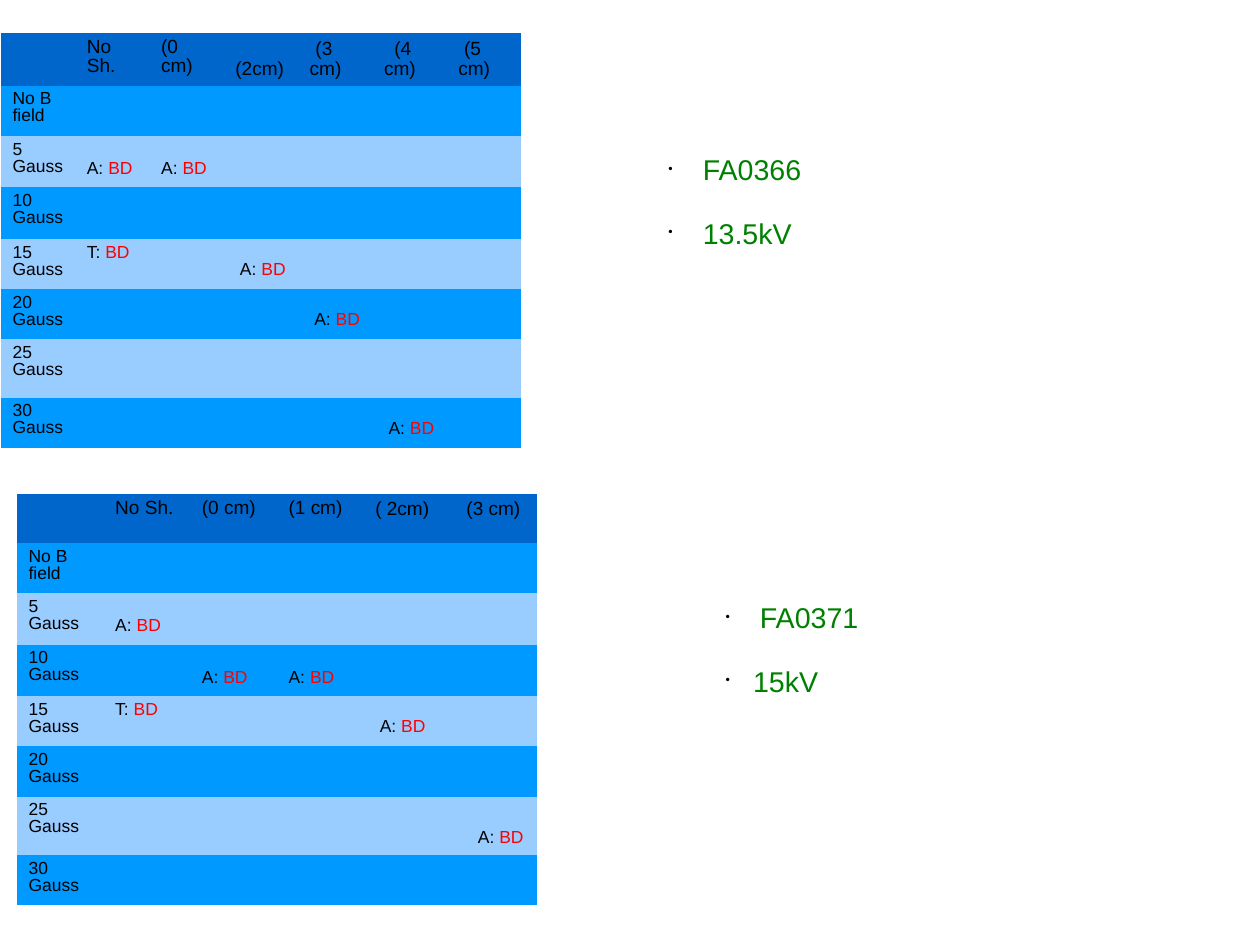
from dataclasses import dataclass

from lxml import etree
from pptx import Presentation
from pptx import util as u
from pptx.dml.color import RGBColor
from pptx.enum import text
from pptx.oxml.ns import qn


@dataclass(frozen=True)
class Theme:
    font: str = "Arial"
    ink: str = "000000"
    breakdown: str = "FF0000"
    note: str = "008000"
    header: str = "0066CC"
    band_dark: str = "0099FF"
    band_light: str = "99CCFF"
    header_size: int = 12
    cell_size: int = 11
    note_size: int = 18
    tight: float = 0.87
    loose: float = 0.93


THEME = Theme()
CM_PER_INCH = 2.54
NO_GRID_STYLE = "{2D5ABB26-0587-4C30-8999-92F81FD0307C}"
FIELDS = ["No B field"] + [f"{gauss} Gauss" for gauss in range(5, 31, 5)]
FIELD_HEIGHTS = [0.44, 0.45, 0.45, 0.44, 0.44, 0.51, 0.44]
TABLE_WIDTH = 4.55
PAD = 0.1
SHIFTED = 0.14
FIRST_LINE = 0.05
SECOND_LINE = 0.2


def write(para, *spans, size, spacing=THEME.tight, before=0, margin=0, indent=0):
    """Fill a paragraph with (text, colour) spans; margin and indent are in inches."""
    para.line_spacing = spacing
    para.space_before = u.Pt(before)
    props = para._p.get_or_add_pPr()
    props.set("marL", str(u.Inches(margin)))
    props.set("indent", str(u.Inches(indent)))
    for words, colour in spans:
        span = para.add_run()
        span.text = words
        span.font.name = THEME.font
        span.font.size = u.Pt(size)
        span.font.color.rgb = RGBColor.from_string(colour)


def add_bullet(para):
    props = para._p.get_or_add_pPr()
    colour = etree.SubElement(props, qn("a:buClr"))
    etree.SubElement(colour, qn("a:srgbClr"), val=THEME.ink)
    etree.SubElement(props, qn("a:buSzPct"), val="45000")
    etree.SubElement(props, qn("a:buChar"), char="•")


class Sheet:
    def __init__(self, deck, theme):
        self.theme = theme
        self.page = deck.slides.add_slide(deck.slide_layouts[6])

    def cell_text(self, cell, *spans, left=PAD, top=FIRST_LINE, middle=False, **style):
        cell.margin_left, cell.margin_top = u.Inches(left), u.Inches(top)
        if middle:
            cell.vertical_anchor = text.MSO_ANCHOR.MIDDLE
        write(cell.text_frame.paragraphs[0], *spans, **style)

    def field_table(self, left, top, header_height, headers, readings):
        """Draw headers (text, format) over the field rows.

        Readings map (row, column) to (mark, left margin, top margin).
        """
        theme = self.theme
        heights = [header_height] + FIELD_HEIGHTS
        columns = len(headers) + 1
        frame = self.page.shapes.add_table(
            len(heights), columns, u.Inches(left), u.Inches(top),
            u.Inches(TABLE_WIDTH), u.Inches(sum(heights)))
        for style in frame.element.iter(qn("a:tableStyleId")):
            style.text = NO_GRID_STYLE
        table = frame.table
        table.first_row = table.horz_banding = False
        for column in table.columns:
            column.width = u.Inches(TABLE_WIDTH / columns)
        for index, height in enumerate(heights):
            table.rows[index].height = u.Inches(height)
            band = theme.band_dark if index % 2 else theme.band_light
            for cell in table.rows[index].cells:
                cell.fill.solid()
                cell.fill.fore_color.rgb = RGBColor.from_string(band if index else theme.header)
        for column, (words, style) in enumerate(headers, 1):
            self.cell_text(table.cell(0, column), (words, theme.ink),
                           size=theme.header_size, **style)
        for row, words in enumerate(FIELDS, 1):
            self.cell_text(table.cell(row, 0), (words, theme.ink), size=theme.cell_size)
        for (row, column), (mark, inset, drop) in readings.items():
            self.cell_text(table.cell(row, column), (f"{mark}: ", theme.ink),
                           ("BD", theme.breakdown), left=inset, top=drop, size=theme.cell_size)

    def notes(self, left, top, width, height, lines):
        """Draw bulleted lines, each given as (text, text offset from the bullet)."""
        box = self.page.shapes.add_textbox(*map(u.Inches, (left, top, width, height)))
        frame = box.text_frame
        frame.word_wrap = True
        for index, (words, offset) in enumerate(lines):
            para = frame.add_paragraph() if index else frame.paragraphs[0]
            write(para, (words, self.theme.note), size=self.theme.note_size,
                  spacing=self.theme.loose, before=20 if index else 0,
                  margin=offset, indent=-offset)
            add_bullet(para)


def main():
    deck = Presentation()
    deck.slide_width = u.Inches(28 / CM_PER_INCH)
    deck.slide_height = u.Inches(21 / CM_PER_INCH)
    deck.element.find(qn("p:sldSz")).attrib.pop("type", None)
    sheet = Sheet(deck, THEME)
    loose = {"spacing": THEME.loose}
    centred = {"middle": True, **loose}

    sheet.field_table(
        0.01, 0.29, 0.46,
        [("No Sh.", {}), ("(0 cm)", {}), ("(2cm)", {"top": 0.23, **loose}),
         ("(3 cm)", {"indent": 0.05, **centred}),
         ("(4 cm)", {"indent": 0.09, **centred}),
         ("(5 cm)", {"indent": 0.05, **centred})],
        {(2, 1): ("A", PAD, 0.22), (2, 2): ("A", PAD, 0.22),
         (4, 1): ("T", PAD, FIRST_LINE), (4, 3): ("A", SHIFTED, SECOND_LINE),
         (5, 4): ("A", SHIFTED, SECOND_LINE), (7, 5): ("A", SHIFTED, SECOND_LINE)})
    sheet.notes(5.75, 1.31, 5.25, 0.94, [("FA0366", 0.3), ("13.5kV", 0.3)])

    sheet.field_table(
        0.15, 4.32, 0.43,
        [("No Sh.", {}), ("(0 cm)", {}), ("(1 cm)", {}), ("( 2cm)", loose),
         ("(3 cm)", {"left": SHIFTED, **loose})],
        {(2, 1): ("A", PAD, 0.22), (3, 2): ("A", PAD, 0.22), (3, 3): ("A", PAD, 0.22),
         (4, 1): ("T", PAD, FIRST_LINE), (4, 4): ("A", SHIFTED, SECOND_LINE),
         (6, 5): ("A", 0.24, 0.29)})
    sheet.notes(6.25, 5.23, 4.75, 1.49, [("FA0371", 0.3), ("15kV", 0.24)])

    deck.save("out.pptx")


if __name__ == "__main__":
    main()
